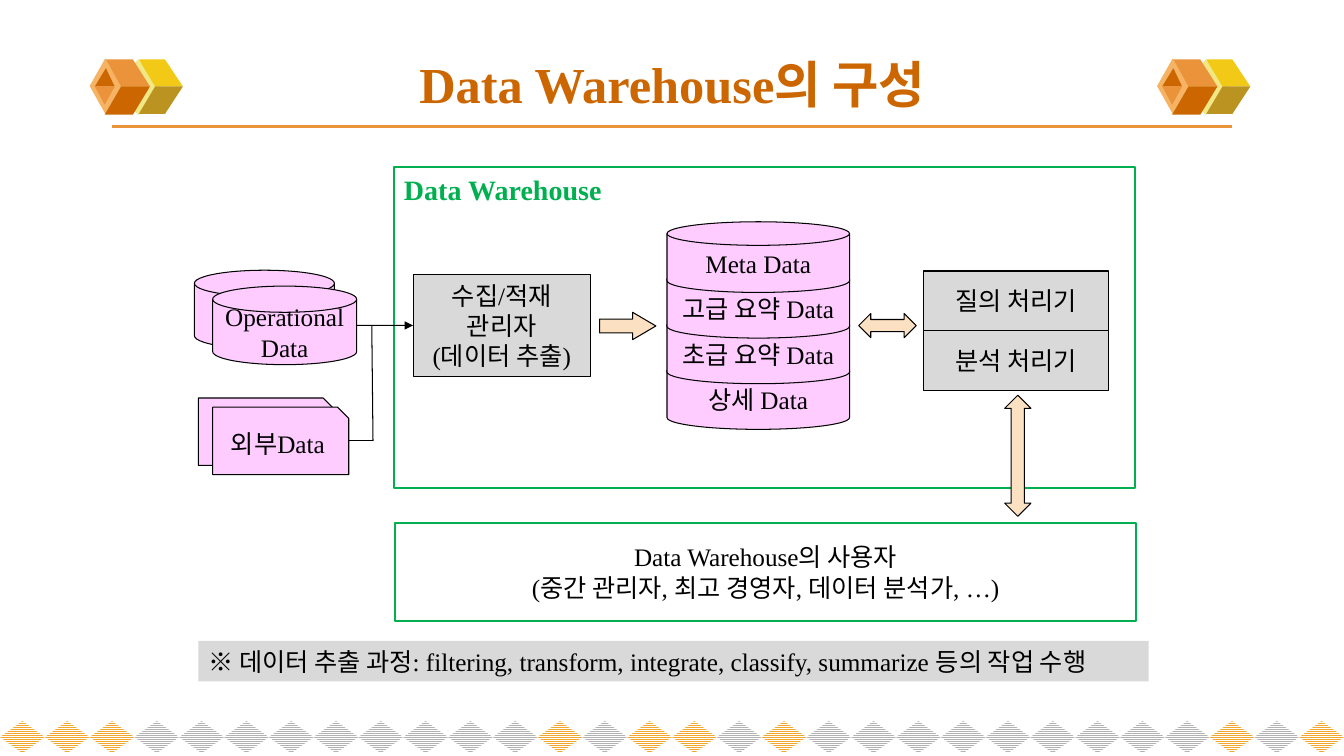
from dataclasses import dataclass
from typing import Optional

from lxml.etree import SubElement
from pptx import Presentation
from pptx.dml.color import RGBColor as RGB
from pptx.enum.dml import MSO_PATTERN as Pattern
from pptx.enum.shapes import MSO_CONNECTOR as Link
from pptx.enum.shapes import MSO_SHAPE as Kind
from pptx.enum.text import MSO_ANCHOR as Anchor
from pptx.enum.text import PP_ALIGN as Align
from pptx.oxml.ns import qn
from pptx.util import Cm, Pt

HUES = {
    "black": "000000", "white": "FFFFFF", "green": "00B050", "pink": "FFCCFF",
    "gray": "D9D9D9", "cream": "FBE1C1", "silver": "B2B2B2", "pale": "F1E785",
    "gold": "F3C917", "olive": "BB9321", "peach": "F5B363", "orange": "EB933B",
    "rust": "CC6600", "amber": "F0A830",
}
FACE = "Times New Roman"
INSET = {"margin_left": Cm(0.25), "margin_right": Cm(0.25),
         "margin_top": Cm(0.13), "margin_bottom": Cm(0.13)}
WARM = {0, 1, 2, 12, 14, 15, 17, 27, 29}
COUNT = 30
WIDTH, HEIGHT = 33.87, 19.05


@dataclass
class Node:
    kind: Kind
    x: float
    y: float
    w: float
    h: float
    fill: Optional[str] = None
    line: Optional[str] = "black"
    text: str = ""
    weight: float = 0.75
    size: int = 18
    bold: bool = False
    ink: str = "black"
    align: Align = Align.CENTER
    anchor: Anchor = Anchor.MIDDLE
    wrap: bool = True


@dataclass
class Facet:
    hue: str
    points: list[tuple[int, int]]


@dataclass
class Cube:
    hue: str
    x: float
    y: float
    w: float
    facets: list[Facet]


@dataclass
class Wire:
    start: tuple[float, float]
    end: tuple[float, float]
    hue: str = "black"
    weight: float = 0.75
    arrow: bool = False
    source: Optional[str] = None
    target: Optional[str] = None


def tint(name: str) -> RGB:
    return RGB.from_string(HUES[name])


def write(frame, text: str, size: int, bold: bool, ink: str, align: Align,
          anchor: Anchor, wrap: bool = True) -> None:
    frame.text = text
    for key, value in {**INSET, "word_wrap": wrap, "vertical_anchor": anchor}.items():
        setattr(frame, key, value)
    for para in frame.paragraphs:
        para.alignment = align
        for run in para.runs:
            for key, value in {"name": FACE, "size": Pt(size), "bold": bold}.items():
                setattr(run.font, key, value)
            run.font.color.rgb = tint(ink)


def paint(shape, fill: Optional[str], line: Optional[str], weight: float = 0.75) -> None:
    shape.shadow.inherit = False
    if fill:
        shape.fill.solid()
        shape.fill.fore_color.rgb = tint(fill)
    else:
        shape.fill.background()
    if line:
        shape.line.color.rgb = tint(line)
        shape.line.width = Pt(weight)
    else:
        shape.line.fill.background()


def place(shapes, node: Node):
    shape = shapes.add_shape(node.kind, Cm(node.x), Cm(node.y), Cm(node.w), Cm(node.h))
    paint(shape, node.fill, node.line, node.weight)
    if node.kind == Kind.RIGHT_ARROW:
        shape.adjustments[1] = 0.85
    if node.text:
        write(shape.text_frame, node.text, node.size, node.bold, node.ink,
              node.align, node.anchor, node.wrap)
    return shape


def join(shapes, wire: Wire, made: dict) -> None:
    link = shapes.add_connector(Link.STRAIGHT, *map(Cm, wire.start + wire.end))
    if wire.source:
        link.begin_connect(made[wire.source], 3)
    if wire.target:
        link.end_connect(made[wire.target], 1)
    link.line.color.rgb = tint(wire.hue)
    link.line.width = Pt(wire.weight)
    if wire.arrow:
        SubElement(link.line._get_or_add_ln(), qn("a:tailEnd"), type="triangle")
    SubElement(link._element.spPr, qn("a:effectLst"))


def carve(shapes, cube: Cube, left: float, top: float) -> None:
    place(shapes, Node(Kind.DIAMOND, left + cube.x, top + cube.y, cube.w, 1.4, cube.hue, None))
    for facet in cube.facets:
        first, *rest = facet.points
        form = shapes.build_freeform(*first, scale=Cm(0.01))
        form.add_line_segments(rest, close=True)
        paint(form.convert_to_shape(Cm(left), Cm(top)), facet.hue, None)


def border(shapes) -> None:
    step = WIDTH / COUNT
    for i in range(COUNT):
        gem = place(shapes, Node(Kind.DIAMOND, i * step, 18.17, step, 0.81, "white", None))
        gem.fill.patterned()
        gem.fill.pattern = Pattern.NARROW_HORIZONTAL
        gem.fill.fore_color.rgb = tint("amber" if i in WARM else "silver")
        gem.fill.back_color.rgb = tint("white")


CUBES = [
    Cube("pale", 0.66, 0.03, 1.12, [
        Facet("gold", [(165, 71), (235, 71), (190, 3), (124, 3)]),
        Facet("olive", [(165, 71), (235, 71), (190, 140), (124, 140)]),
    ]),
    Cube("peach", 0, 0, 0.79, [
        Facet("orange", [(79, 71), (152, 71), (109, 3), (41, 3)]),
        Facet("rust", [(79, 71), (152, 71), (109, 142), (38, 142)]),
        Facet("rust", [(41, 25), (13, 71), (63, 71)]),
        Facet("orange", [(38, 117), (13, 71), (63, 71)]),
    ]),
]
DISK, SHEET, BOX = Kind.FLOWCHART_MAGNETIC_DISK, Kind.SNIP_1_RECTANGLE, Kind.RECTANGLE
LAYERS = ["상세 Data", "초급 요약 Data", "고급 요약 Data", "Meta Data"]
NODES = {
    "frame": Node(BOX, 9.93, 4.22, 18.67, 8.08, None, "green", "Data Warehouse", 1.5,
                  20, True, "green", Align.LEFT, Anchor.TOP),
    "old disk": Node(DISK, 4.9, 6.81, 3.53, 1.98, "pink"),
    "disk": Node(DISK, 5.36, 7.21, 3.63, 1.98, "pink", text="Operational Data"),
    "old sheet": Node(SHEET, 5, 10.03, 3.43, 1.7, "pink"),
    "sheet": Node(SHEET, 5.36, 10.26, 3.43, 1.7, "pink", text="외부Data"),
    "loader": Node(BOX, 10.41, 6.92, 4.47, 2.56, "gray",
                   text="수집/적재\n관리자\n(데이터 추출)"),
    "study": Node(BOX, 23.27, 8.33, 4.67, 1.5, "gray", text="분석 처리기"),
    "query": Node(BOX, 23.27, 6.83, 4.67, 1.5, "gray", text="질의 처리기"),
    **{name: Node(DISK, 16.81, 9.04 - 1.15 * i, 4.6, 1.78, "pink", text=name, wrap=False)
       for i, name in enumerate(LAYERS)},
    "swap": Node(Kind.LEFT_RIGHT_ARROW, 21.64, 7.9, 1.45, 0.61, "cream"),
    "load": Node(Kind.RIGHT_ARROW, 15.11, 7.87, 1.42, 0.69, "cream"),
    "serve": Node(Kind.UP_DOWN_ARROW, 25.32, 9.96, 0.66, 3.05, "cream"),
    "users": Node(BOX, 9.96, 13.18, 18.67, 2.46, None, "green",
                  "Data Warehouse의 사용자\n(중간 관리자, 최고 경영자, 데이터 분석가, …)", 1.5),
    "note": Node(BOX, 5, 16.15, 23.95, 1.02, "gray", None,
                 "※ 데이터 추출 과정: filtering, transform, integrate, classify, "
                 "summarize 등의 작업 수행", align=Align.LEFT),
}
WIRES = [
    Wire((2.82, 3.18), (31.04, 3.18), "orange", 2.25),
    Wire((8.99, 8.2), (10.41, 8.2), arrow=True, target="loader"),
    Wire((8.79, 11.11), (9.4, 11.11), source="sheet"),
    Wire((9.4, 11.11), (9.37, 8.2)),
]


def main() -> None:
    deck = Presentation()
    deck.slide_width, deck.slide_height = Cm(WIDTH), Cm(HEIGHT)
    shapes = deck.slides.add_slide(deck.slide_layouts[5]).shapes
    title = shapes.title
    spot = {"left": Cm(1.7), "top": Cm(1.02), "width": Cm(30.48), "height": Cm(2.16)}
    for key, value in spot.items():
        setattr(title, key, value)
    write(title.text_frame, "Data Warehouse의 구성", 36, True, "rust",
          Align.CENTER, Anchor.MIDDLE)
    border(shapes)
    for left in (2.26, 29.16):
        for cube in CUBES:
            carve(shapes, cube, left, 1.47)
    made = {name: place(shapes, node) for name, node in NODES.items()}
    for wire in WIRES:
        join(shapes, wire, made)
    deck.save("out.pptx")


if __name__ == "__main__":
    main()
